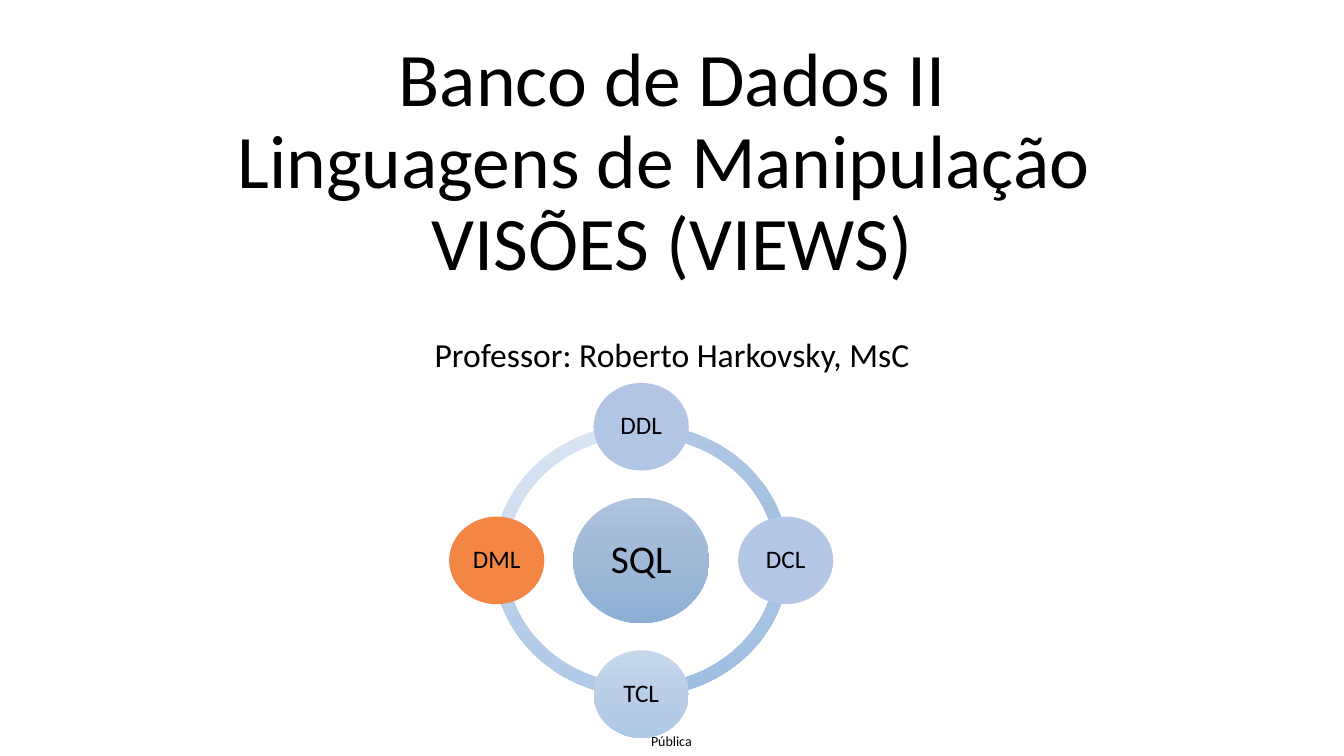
"""Build the title slide for the SQL views lesson, with its ring of sublanguages."""
from copy import deepcopy
from math import cos, radians, sin

from pptx import Presentation
from pptx.dml.color import RGBColor
from pptx.enum.shapes import MSO_SHAPE
from pptx.enum.text import MSO_ANCHOR, PP_ALIGN
from pptx.util import Inches, Pt

TITLE = "Banco de Dados II\vLinguagens de Manipulação \vVISÕES (VIEWS)"
PROFESSOR = "Professor: Roberto Harkovsky, MsC"
LABEL = "Pública"
HUB = ("SQL", ("ADC3DE", "9FB9D7", "8EAFD5"))
NODES = [
    ("DDL", ("B3C5E5",)),
    ("DCL", ("B4C7E7",)),
    ("TCL", ("C7D8EC", "BACEE7", "AFC8E6")),
    ("DML", ("F38645",)),
]
ARCS = [
    (180, ("D9E4F3", "CBDBEF", "C3D6EE")),
    (90, ("C9D9EE", "BBD0E9", "B0CAE8")),
    (0, ("BBD0E9", "ADC6E4", "9FBEE2")),
    (270, ("AFC7E4", "A1BDDE", "90B4DC")),
]
THEME = {"font": "Calibri", "ink": "000000", "title": 54, "hub": 28,
         "subtitle": 24, "node": 18, "label": 10}

WIDTH, HEIGHT = Inches(13.333), Inches(7.5)
CENTRE = (47.71, 74.13)
ORBIT = (10.75, 17.68)
RING_SIZE = (21.97, 36.1)
HUB_SIZE = (10.12, 16.58)
NODE_SIZE = (7.08, 11.58)
RING_THICKNESS = 0.046
ARC_UNIT = 0.6


def box(left, top, width, height):
    """Turn percentages of the slide into lengths."""
    return [round(share * side / 100) for share, side in
            zip((left, top, width, height), (WIDTH, HEIGHT) * 2)]


def around(centre, size):
    """Return the box of a size around a centre."""
    return box(centre[0] - size[0] / 2, centre[1] - size[1] / 2, *size)


def write(sp, text, size, anchor=MSO_ANCHOR.MIDDLE, spacing=0.9, before=0, inset=None):
    """Fill a shape with one centred paragraph."""
    tf = sp.text_frame
    tf.word_wrap = True
    tf.vertical_anchor = anchor
    if inset is not None:
        tf.margin_left = tf.margin_top = tf.margin_right = tf.margin_bottom = inset
    p = tf.paragraphs[0]
    p.text = text
    p.alignment = PP_ALIGN.CENTER
    p.line_spacing = spacing
    p.space_before = Pt(before)
    for r in p.runs:
        r.font.name = THEME["font"]
        r.font.size = Pt(THEME[size])
        r.font.color.rgb = RGBColor.from_string(THEME["ink"])


def paint(sp, colours):
    """Give a shape a plain fill or a top-down gradient, with no line or shadow."""
    sp.shadow.inherit = False
    sp.line.fill.background()
    if len(colours) == 1:
        sp.fill.solid()
        sp.fill.fore_color.rgb = RGBColor.from_string(colours[0])
        return
    sp.fill.gradient()
    sp.fill.gradient_angle = 270
    stops = sp._element.spPr.find(".//{*}gsLst")
    stops.insert(1, deepcopy(stops[0]))
    for i, (stop, colour) in enumerate(zip(sp.fill.gradient_stops, colours)):
        stop.position = i / (len(colours) - 1)
        stop.color.rgb = RGBColor.from_string(colour)


def add_disc(s, centre, size, text, colours, text_size):
    """Add a labelled disc around a centre."""
    sp = s.shapes.add_shape(MSO_SHAPE.OVAL, *around(centre, size))
    paint(sp, colours)
    write(sp, text, text_size, inset=0)


def add_ring(s):
    """Add the four arcs, the hub and the four discs on the orbit."""
    for start, colours in ARCS:
        sp = s.shapes.add_shape(MSO_SHAPE.BLOCK_ARC, *around(CENTRE, RING_SIZE))
        sp.adjustments[0] = start * ARC_UNIT
        sp.adjustments[1] = (start + 90) % 360 * ARC_UNIT
        sp.adjustments[2] = RING_THICKNESS
        paint(sp, colours)
    add_disc(s, CENTRE, HUB_SIZE, *HUB, "hub")
    for i, (text, colours) in enumerate(NODES):
        angle = radians(360 / len(NODES) * i - 90)
        centre = (CENTRE[0] + ORBIT[0] * cos(angle), CENTRE[1] + ORBIT[1] * sin(angle))
        add_disc(s, centre, NODE_SIZE, text, colours, "node")


def main():
    """Build and save the slide."""
    prs = Presentation()
    prs.slide_width, prs.slide_height = WIDTH, HEIGHT
    s = prs.slides.add_slide(prs.slide_layouts[6])
    write(s.shapes.add_textbox(*box(47.33, 96.13, 5.25, 3.87)), LABEL, "label",
          spacing=1.0, inset=0)
    write(s.shapes.add_textbox(*box(7.35, 3.73, 85.35, 34.8)), TITLE, "title",
          anchor=MSO_ANCHOR.BOTTOM)
    write(s.shapes.add_textbox(*box(12.5, 44.13, 75, 24.13)), PROFESSOR, "subtitle",
          anchor=MSO_ANCHOR.TOP, before=10)
    add_ring(s)
    prs.save("out.pptx")


if __name__ == "__main__":
    main()
